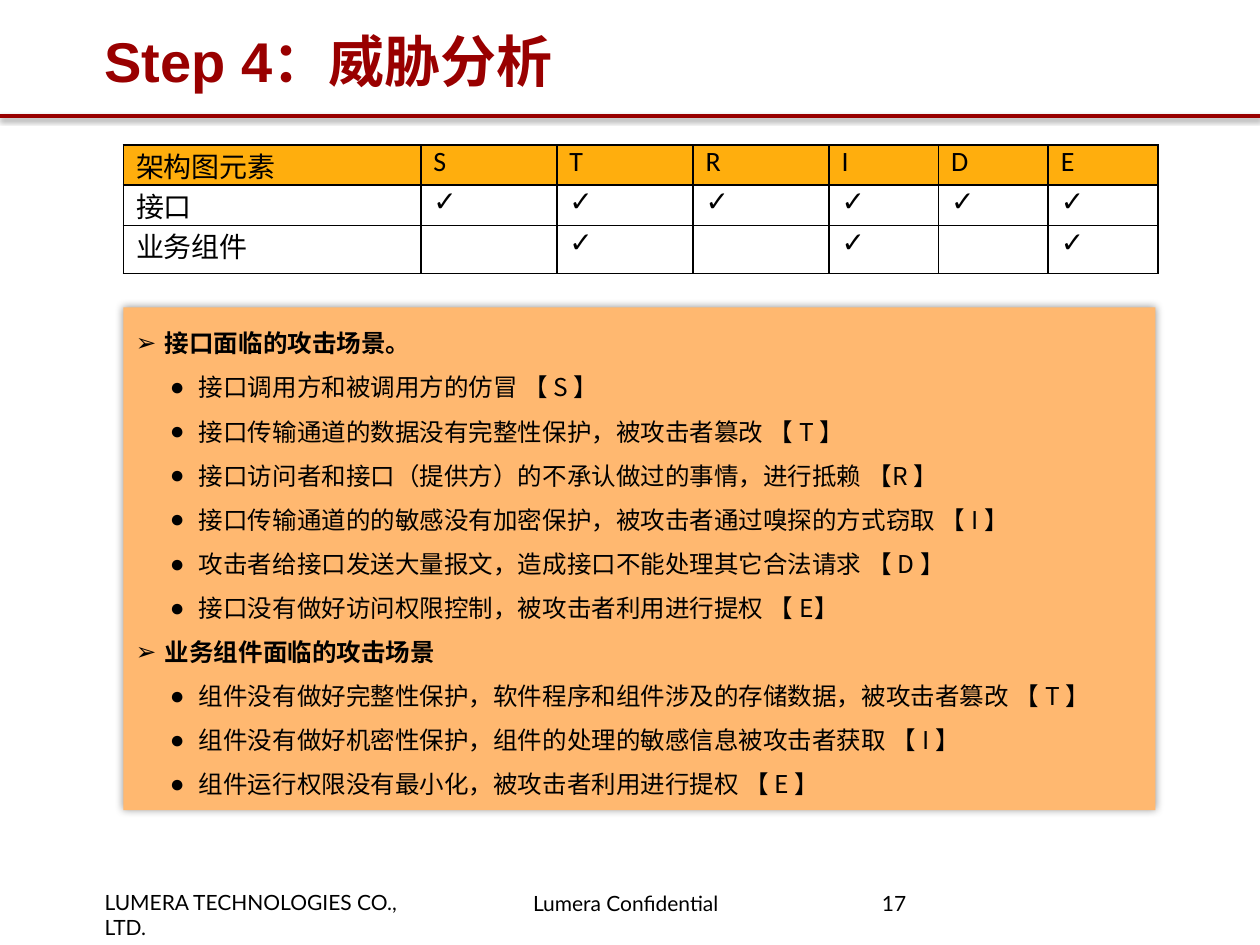
from lxml import etree
from pptx import Presentation
from pptx import util as u
from pptx.dml.color import RGBColor
from pptx.enum import shapes, text
from pptx.oxml import parse_xml
from pptx.oxml.ns import nsdecls, qn

BLACK = RGBColor(0, 0, 0)
DARK_RED = RGBColor(0x99, 0x00, 0x00)
AMBER = RGBColor(0xFF, 0xAE, 0x0D)
PEACH = RGBColor(0xFF, 0xB8, 0x70)
CJK = "Noto Sans CJK SC"

TITLE = "Step 4：威胁分析"
STRIDE = "STRIDE"
COVERAGE = [("接口", "STRIDE"), ("业务组件", "TIE")]
SCENARIOS = [
    ("接口面临的攻击场景。", [
        "接口调用方和被调用方的仿冒 【 S 】",
        "接口传输通道的数据没有完整性保护，被攻击者篡改 【 T 】",
        "接口访问者和接口（提供方）的不承认做过的事情，进行抵赖 【R 】",
        "接口传输通道的的敏感没有加密保护，被攻击者通过嗅探的方式窃取 【 I 】",
        "攻击者给接口发送大量报文，造成接口不能处理其它合法请求 【 D 】",
        "接口没有做好访问权限控制，被攻击者利用进行提权 【 E】",
    ]),
    ("业务组件面临的攻击场景", [
        "组件没有做好完整性保护，软件程序和组件涉及的存储数据，被攻击者篡改 【 T 】",
        "组件没有做好机密性保护，组件的处理的敏感信息被攻击者获取 【 I 】",
        "组件运行权限没有最小化，被攻击者利用进行提权 【 E 】",
    ]),
]
FOOTERS = [
    ("LUMERA TECHNOLOGIES CO., LTD.", (0.83, 7.06, 2.78, 0.4), (0, 0, 0.3, 0), 1),
    ("Lumera Confidential", (4.14, 7.07, 1.75, 0.2), (0.09, 0, 0.09, 0), 1),
    ("17", (7, 7.1, 1.93, 0.4), (0, 0, 0, 0), 0.85),
]
LEFT, WIDTH = 0.98, 8.19
COLUMNS = [2.36] + [1.08] * 3 + [0.87] * 3
ROWS = [0.32, 0.32, 0.38]


def style(paragraph, size, face, color=BLACK, bold=False):
    for run in paragraph.runs:
        font = run.font
        font.size, font.name, font.bold = u.Pt(size), face, bold
        font.color.rgb = color
        east_asian = etree.SubElement(run._r.get_or_add_rPr(), qn("a:ea"))
        east_asian.set("typeface", CJK)


def set_insets(frame, insets):
    frame.margin_left, frame.margin_top, frame.margin_right, frame.margin_bottom = map(u.Inches, insets)


def add_label(words, box, insets):
    frame = slide.shapes.add_textbox(*map(u.Inches, box)).text_frame
    frame.word_wrap = True
    set_insets(frame, insets)
    frame.text = words
    return frame


def add_shadow(part, alpha, blur, distance, angle):
    properties = part._element.spPr
    for old in properties.findall(qn("a:effectLst")):
        properties.remove(old)
    properties.append(parse_xml(
        f'<a:effectLst {nsdecls("a")}><a:outerShdw blurRad="{u.Pt(blur)}" dist="{u.Pt(distance)}" '
        f'dir="{angle * 60000}" rotWithShape="0"><a:srgbClr val="000000">'
        f'<a:alpha val="{alpha * 1000}"/></a:srgbClr></a:outerShdw></a:effectLst>'))


def add_borders(cell):
    for side in ("lnL", "lnR", "lnT", "lnB"):
        cell._tc.get_or_add_tcPr().append(parse_xml(
            f'<a:{side} {nsdecls("a")} w="{u.Pt(1)}"><a:solidFill>'
            f'<a:srgbClr val="{BLACK}"/></a:solidFill></a:{side}>'))


def add_bullet(paragraph, mark, margin):
    properties = paragraph._p.get_or_add_pPr()
    properties.set("marL", str(u.Inches(margin)))
    properties.set("indent", str(u.Inches(-0.23)))
    etree.SubElement(properties, qn("a:buFont")).set("typeface", "Arial")
    etree.SubElement(properties, qn("a:buChar")).set("char", mark)


deck = Presentation()
deck.slide_width, deck.slide_height = u.Inches(10), u.Inches(7.5)
slide = deck.slides.add_slide(deck.slide_layouts[6])

for words, box, insets, spacing in FOOTERS:
    footer = add_label(words, box, insets).paragraphs[0]
    footer.line_spacing = spacing
    style(footer, 12, "Lato")

title = add_label(TITLE, (0.83, 0, 8.35, 0.95), (0, 0.04, 0.09, 0.04))
title.vertical_anchor = text.MSO_ANCHOR.MIDDLE
style(title.paragraphs[0], 32, "Arial", DARK_RED, True)

rule = slide.shapes.add_connector(
    shapes.MSO_CONNECTOR.STRAIGHT, 0, u.Inches(0.92), deck.slide_width, u.Inches(0.92))
rule.line.color.rgb = DARK_RED
rule.line.width = u.Pt(2)
add_shadow(rule, 38, 3.1, 1.6, 90)

grid = [["架构图元素", *STRIDE]]
grid += [[element, *("✓" if threat in threats else "" for threat in STRIDE)]
         for element, threats in COVERAGE]
matrix = slide.shapes.add_table(
    len(ROWS), len(COLUMNS), *map(u.Inches, (LEFT, 1.15, WIDTH, sum(ROWS)))).table
matrix.first_row = matrix.horz_banding = False
for column, width in zip(matrix.columns, COLUMNS):
    column.width = u.Inches(width)
for row, height, entries in zip(matrix.rows, ROWS, grid):
    row.height = u.Inches(height)
    for cell, entry in zip(row.cells, entries):
        add_borders(cell)
        if entries is grid[0]:
            cell.fill.solid()
            cell.fill.fore_color.rgb = AMBER
        else:
            cell.fill.background()
        set_insets(cell, (0.1, 0, 0.1, 0))
        cell.text = entry
        paragraph = cell.text_frame.paragraphs[0]
        paragraph.alignment = text.PP_ALIGN.JUSTIFY
        style(paragraph, 16, "Calibri")

panel = slide.shapes.add_shape(
    shapes.MSO_SHAPE.RECTANGLE, *map(u.Inches, (LEFT, 2.44, WIDTH, 3.99)))
panel.fill.solid()
panel.fill.fore_color.rgb = PEACH
panel.line.fill.background()
add_shadow(panel, 40, 5, 0, 0)
frame = panel.text_frame
frame.word_wrap = True
frame.vertical_anchor = text.MSO_ANCHOR.TOP
lines = []
for heading, attacks in SCENARIOS:
    lines.append((heading, 0))
    lines += [(attack, 1) for attack in attacks]
for number, (words, level) in enumerate(lines):
    paragraph = frame.add_paragraph() if number else frame.paragraphs[0]
    paragraph.text = words
    paragraph.level = level
    paragraph.alignment = text.PP_ALIGN.LEFT
    paragraph.line_spacing = 1.5
    add_bullet(paragraph, "➢●"[level], (0.23, 0.5)[level])
    style(paragraph, 14, CJK, bold=level == 0)

deck.save("out.pptx")
